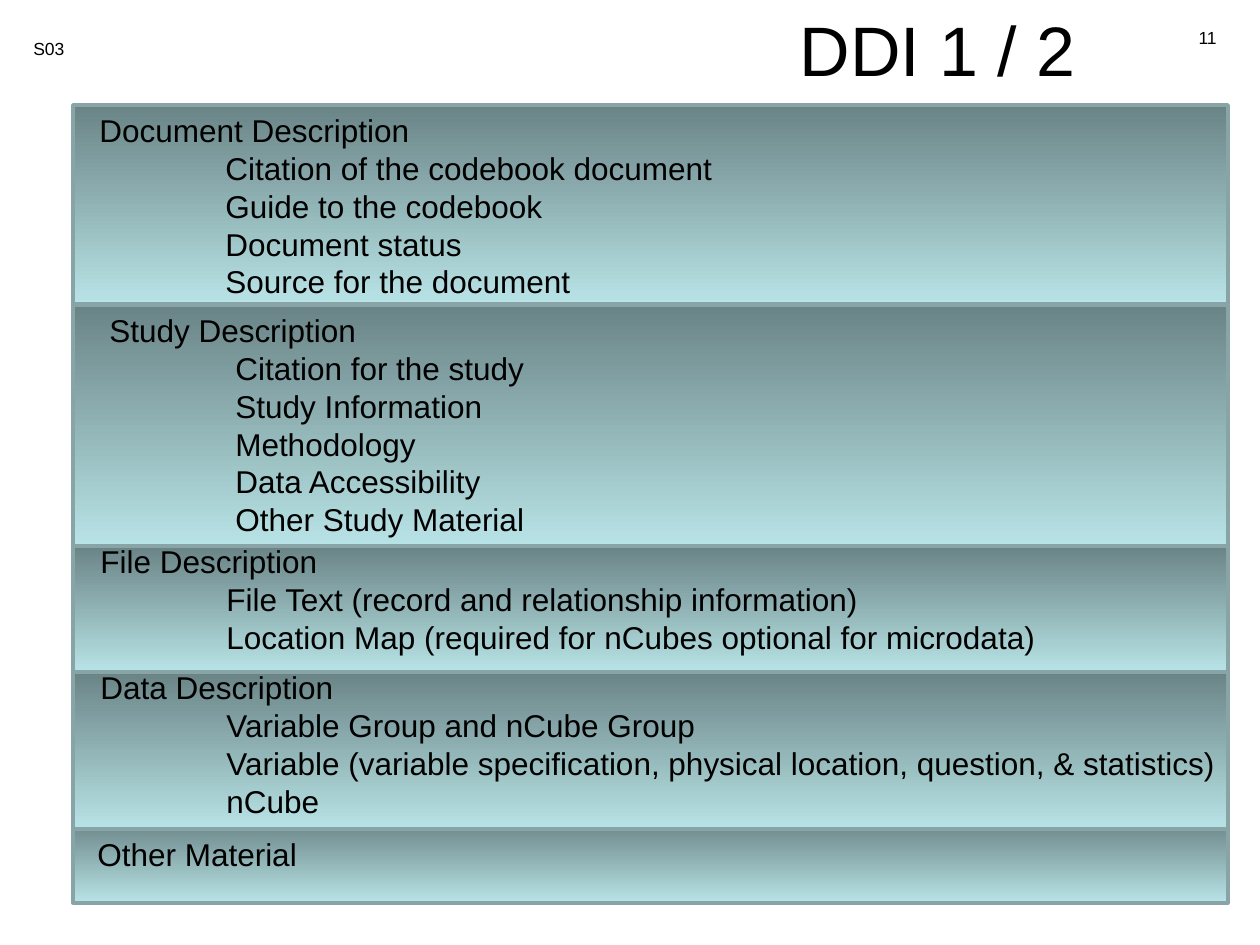
"""Build the DDI 1 / 2 slide: five stacked codebook sections with their contents."""
import pptx
import pptx.dml.color
import pptx.enum.shapes
import pptx.enum.text
import pptx.util

BLACK = pptx.dml.color.RGBColor(0x00, 0x00, 0x00)
BAND_TOP = pptx.dml.color.RGBColor(0x6A, 0x84, 0x86)
BAND_BOTTOM = pptx.dml.color.RGBColor(0xB8, 0xE3, 0xE6)
BAND_EDGE = pptx.dml.color.RGBColor(0x89, 0xA4, 0xA7)
ALIGN = pptx.enum.text.PP_ALIGN
AUTO_SIZE = pptx.enum.text.MSO_AUTO_SIZE
PX_PER_INCH = 126

SECTIONS = [
    ((105, 199), (87, 105, 638, 202), "Document Description",
     ["Citation of the codebook document", "Guide to the codebook",
      "Document status", "Source for the document"]),
    ((305, 241), (97, 305, 440, 239), "Study Description",
     ["Citation for the study", "Study Information", "Methodology",
      "Data Accessibility", "Other Study Material"]),
    ((546, 126), (88, 536, 960, 126), "File Description",
     ["File Text (record and relationship information)",
      "Location Map (required for nCubes optional for microdata)"]),
    ((672, 157), (88, 662, 1142, 164), "Data Description",
     ["Variable Group and nCube Group",
      "Variable (variable specification, physical location, question, & statistics)",
      "nCube"]),
    ((819, 84), (85, 829, 228, 50), "Other Material", []),
]


def px(*lengths):
    return [round(length * pptx.util.Inches(1) / PX_PER_INCH) for length in lengths]


def write(paragraph, text, size, align=ALIGN.LEFT):
    paragraph.alignment = align
    paragraph.line_spacing = pptx.util.Pt(size * 1.2)
    run = paragraph.add_run()
    run.text = text
    run.font.name = "Arial"
    run.font.size = pptx.util.Pt(size)
    run.font.color.rgb = BLACK


deck = pptx.Presentation()
deck.slide_width, deck.slide_height = px(1260, 945)
slide = deck.slides.add_slide(deck.slide_layouts[5])

for (top, height), _, _, _ in reversed(SECTIONS):
    band = slide.shapes.add_shape(
        pptx.enum.shapes.MSO_SHAPE.RECTANGLE, *px(73, top, 1155, height))
    band.shadow.inherit = False
    band.fill.gradient()
    band.fill.gradient_angle = 270
    for stop, position, color in zip(
            band.fill.gradient_stops, (0, 1), (BAND_TOP, BAND_BOTTOM)):
        stop.position = position
        stop.color.rgb = color
    band.line.color.rgb = BAND_EDGE
    band.line.width = pptx.util.Pt(2)

for area, label, align in [((21, 32, 294, 66), "S03", ALIGN.LEFT),
                           ((935, 21, 294, 66), "11", ALIGN.RIGHT)]:
    corner = slide.shapes.add_textbox(*px(*area)).text_frame
    corner.word_wrap = True
    write(corner.paragraphs[0], label, 10, align)

title = slide.shapes.title
title.left, title.top, title.width, title.height = px(787, 0, 357, 97)
title.text_frame.vertical_anchor = pptx.enum.text.MSO_ANCHOR.TOP
title.text_frame.auto_size = AUTO_SIZE.NONE
write(title.text_frame.paragraphs[0], "DDI 1 / 2", 40)

for _, area, heading, items in SECTIONS:
    contents = slide.shapes.add_textbox(*px(*area)).text_frame
    contents.word_wrap = False
    contents.auto_size = AUTO_SIZE.SHAPE_TO_FIT_TEXT
    write(contents.paragraphs[0], heading, 18)
    for item in items:
        entry = contents.add_paragraph()
        entry._p.get_or_add_pPr().set("marL", str(pptx.util.Inches(1)))
        write(entry, item, 18)

deck.save("out.pptx")
